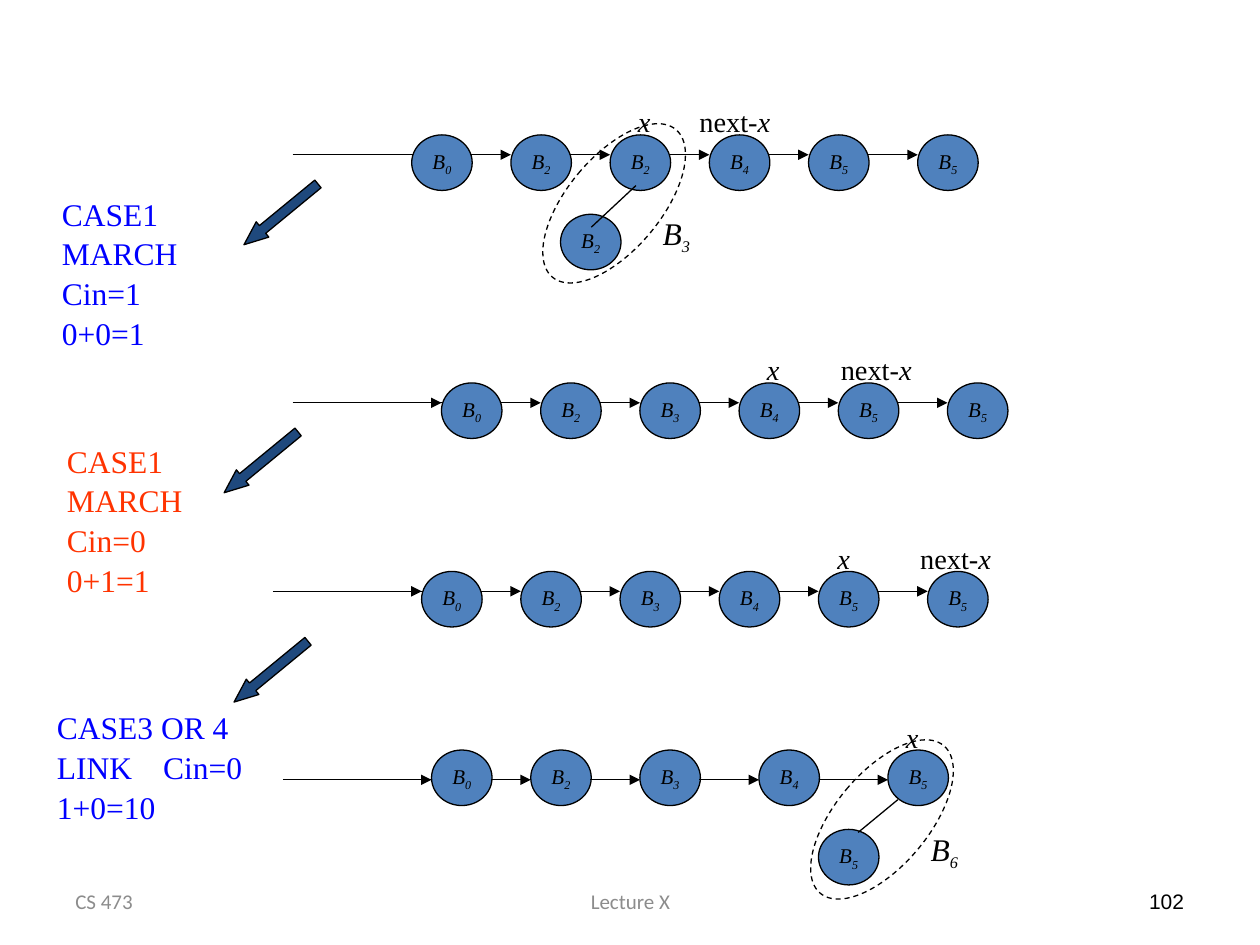
from dataclasses import dataclass
from itertools import pairwise

import pptx
import pptx.dml.color
import pptx.enum.dml
import pptx.enum.shapes
import pptx.enum.text
import pptx.oxml
import pptx.oxml.ns
import pptx.util

UNIT = pptx.util.Inches(10) / 127  # the slide is a grid of 127 columns
NODE_WIDTH, NODE_HEIGHT = 6.1, 5.6
SHAPE = pptx.enum.shapes.MSO_SHAPE
ANCHOR = pptx.enum.text.MSO_ANCHOR
ALIGN = pptx.enum.text.PP_ALIGN


@dataclass(frozen=True)
class Theme:
    serif: str = "Times New Roman"
    footer_font: str = "Calibri"
    number_font: str = "Arial"
    ink: str = "000000"
    muted: str = "8C8C8C"
    node: str = "4F81BD"
    arrow: str = "1F497D"
    blue: str = "0000FF"
    red: str = "FF3300"
    small: int = 12
    subscript: int = 16
    body: int = 18
    pointer: int = 28
    line: float = 0.75


THEME = Theme()


@dataclass(frozen=True)
class Span:
    text: str
    size: int = THEME.small
    italic: bool = True
    lowered: bool = False
    color: str = THEME.ink
    font: str = THEME.serif


@dataclass(frozen=True)
class Chain:
    """A root list: node degrees, and the columns from each node to the next."""
    left: float
    top: float
    degrees: str
    steps: tuple[int, ...]
    lead_left: float
    lead_right: float
    entry_left: float | None = None
    entry_weight: float = THEME.line
    arrow_drop: float = 2

    @property
    def lefts(self) -> list[float]:
        return [self.left + sum(self.steps[:i]) for i in range(len(self.degrees))]

    @property
    def arrow_row(self) -> float:
        return self.top + self.arrow_drop


@dataclass(frozen=True)
class Label:
    left: float
    top: float
    width: float
    height: float
    spans: tuple[Span, ...]
    inset: float = 1.27
    align: ALIGN = ALIGN.LEFT
    anchor: ANCHOR = ANCHOR.TOP
    spacing: float = 1.0
    tab: float | None = None


def pointer(left: float, top: float, inset: float) -> Label:
    return Label(left, top, 6, 5.3, (Span("x", THEME.pointer, lowered=True),), inset)


def next_pointer(left: float, top: float, inset: float = 1.27) -> Label:
    spans = (Span("next-", THEME.pointer, False, True), Span("x", THEME.pointer, True, True))
    return Label(left, top, 12, 5.3, spans, inset)


def tree_name(left: float, top: float, degree: str) -> Label:
    spans = (Span("B", THEME.body), Span(degree, THEME.subscript, lowered=True))
    return Label(left, top, 9, 5.1, spans, 3.3)


def case(left: float, top: float, width: float, height: float, text: str,
         color: str, tab: float | None = None) -> Label:
    return Label(left, top, width, height, (Span(text, THEME.body, False, color=color),),
                 spacing=1.05, tab=tab)


def footer(left: float, width: float, text: str, align: ALIGN,
           color: str = THEME.muted, font: str = THEME.footer_font) -> Label:
    return Label(left, 88.3, width, 5.1, (Span(text, THEME.small, False, False, color, font),),
                 align=align, anchor=ANCHOR.MIDDLE)


SIX_STEPS = (10, 10, 10, 10, 11)
CHAINS = (
    Chain(41.5, 13.6, "022455", SIX_STEPS, 29.5, 45.3),
    Chain(44.5, 38.6, "023455", SIX_STEPS, 29.5, 49.4, 38.5),
    Chain(42.5, 57.6, "023455", SIX_STEPS, 27.5, 47.4, 35.5),
    Chain(43.5, 75.6, "02345", (10, 11, 12, 13), 28.5, 48.4, 35.5, 0.5, 3),
)
CHILDREN = ((56.5, 21.6, "2"), (82.5, 83.6, "5"))
LINKS = ((59.6, 22.9, 64.1, 18.7), (86.5, 83.9, 90.5, 80.6))
MERGED_TREES = ((57.2, 10.8), (84.2, 72.9))
STEP_ARROWS = ((23.5, 20.6), (21.5, 45.6), (22.5, 66.7))
LABELS = (
    pointer(61.5, 6.6, 2.8), next_pointer(68.5, 6.6, 2.0),
    pointer(74.5, 31.6, 2.8), next_pointer(83.5, 31.6),
    pointer(82.5, 50.6, 1.9), next_pointer(91.5, 50.6),
    pointer(88.5, 68.6, 2.8),
    tree_name(63.5, 21, "3"), tree_name(90.5, 83, "6"),
    case(5, 18.8, 19, 16.5, "CASE1 MARCH Cin=1 0+0=1", THEME.blue),
    case(5.5, 43.7, 19, 16.5, "CASE1 MARCH Cin=0 0+1=1", THEME.red),
    case(4.5, 70.6, 22, 12.7, "CASE3 OR 4 LINK\tCin=0 1+0=10", THEME.blue, 10.7),
    footer(6.35, 29.6, "CS 473", ALIGN.LEFT),
    footer(43.4, 40.3, "Lecture X", ALIGN.CENTER),
    footer(91, 29.6, "102", ALIGN.RIGHT, THEME.ink, THEME.number_font),
)


def grid(*lengths: float) -> list[int]:
    return [round(length * UNIT) for length in lengths]


def rgb(color: str) -> pptx.dml.color.RGBColor:
    return pptx.dml.color.RGBColor.from_string(color)


def apply(target: object, values: dict) -> None:
    for name, value in values.items():
        setattr(target, name, value)


def write_spans(para, spans: tuple[Span, ...]) -> None:
    for item in spans:
        span = para.add_run()
        span.text = item.text
        apply(span.font, {"name": item.font, "size": pptx.util.Pt(item.size),
                          "italic": item.italic})
        span.font.color.rgb = rgb(item.color)
        if item.lowered:
            span.font._element.set("baseline", "-25000")


def draw_line(page, x1: float, y1: float, x2: float, y2: float,
              arrow: bool = True, weight: float = THEME.line) -> None:
    line = page.shapes.add_connector(pptx.enum.shapes.MSO_CONNECTOR.STRAIGHT,
                                     *grid(x1, y1, x2, y2))
    line.line.width = pptx.util.Pt(weight)
    line.line.color.rgb = rgb(THEME.ink)
    if arrow:
        head = pptx.oxml.parse_xml(
            f'<a:tailEnd {pptx.oxml.ns.nsdecls("a")} type="triangle"/>')
        line.line._get_or_add_ln().append(head)
    line._element.spPr.append(
        pptx.oxml.parse_xml(f'<a:effectLst {pptx.oxml.ns.nsdecls("a")}/>'))


def draw_shape(page, kind, left: float, top: float, width: float, height: float,
               fill: str | None, rotation: float = 0):
    shape = page.shapes.add_shape(kind, *grid(left, top, width, height))
    shape.shadow.inherit = False
    shape.rotation = rotation
    if fill:
        shape.fill.solid()
        shape.fill.fore_color.rgb = rgb(fill)
    else:
        shape.fill.background()
    shape.line.color.rgb = rgb(THEME.ink)
    shape.line.width = pptx.util.Pt(THEME.line)
    return shape


def draw_node(page, left: float, top: float, degree: str) -> None:
    node = draw_shape(page, SHAPE.OVAL, left, top, NODE_WIDTH, NODE_HEIGHT, THEME.node)
    apply(node.text_frame, {"word_wrap": False, "vertical_anchor": ANCHOR.MIDDLE})
    para = node.text_frame.paragraphs[0]
    para.alignment = ALIGN.CENTER
    write_spans(para, (Span("B"), Span(degree, lowered=True)))


def draw_chain(page, chain: Chain) -> None:
    row = chain.arrow_row
    draw_line(page, chain.lead_left, row, chain.lead_right, row)
    for left, degree in zip(chain.lefts, chain.degrees):
        draw_node(page, left, chain.top, degree)
    for left, following in pairwise(chain.lefts):
        draw_line(page, left + 6, row, following, row)
    if chain.entry_left is not None:
        draw_line(page, chain.entry_left, row, chain.left, row, weight=chain.entry_weight)


def draw_label(page, label: Label) -> None:
    box = page.shapes.add_textbox(*grid(label.left, label.top, label.width, label.height))
    apply(box.text_frame, {"word_wrap": True, "vertical_anchor": label.anchor,
                           "margin_left": grid(label.inset)[0]})
    if label.inset > 1.27:
        box.text_frame.margin_right = 0
    para = box.text_frame.paragraphs[0]
    apply(para, {"alignment": label.align, "line_spacing": label.spacing})
    if label.tab:
        para._p.get_or_add_pPr().append(pptx.oxml.parse_xml(
            f'<a:tabLst {pptx.oxml.ns.nsdecls("a")}>'
            f'<a:tab pos="{grid(label.tab)[0]}" algn="l"/></a:tabLst>'))
    write_spans(para, label.spans)


def main() -> None:
    deck = pptx.Presentation()
    apply(deck, {"slide_width": pptx.util.Inches(10), "slide_height": pptx.util.Inches(7.5)})
    page = deck.slides.add_slide(deck.slide_layouts[6])
    for chain in CHAINS:
        draw_chain(page, chain)
    for child in CHILDREN:
        draw_node(page, *child)
    for link in LINKS:
        draw_line(page, *link, arrow=False)
    for left, top in STEP_ARROWS:
        arrow = draw_shape(page, SHAPE.LEFT_ARROW, left, top, 9.65, 2, THEME.arrow, 320.6)
        arrow.adjustments[1] = 1.21
    for left, top in MERGED_TREES:
        outline = draw_shape(page, SHAPE.OVAL, left, top, 9.4, 19.4, None, 39.9)
        outline.line.dash_style = pptx.enum.dml.MSO_LINE.DASH
    for label in LABELS:
        draw_label(page, label)
    deck.save("out.pptx")


if __name__ == "__main__":
    main()
